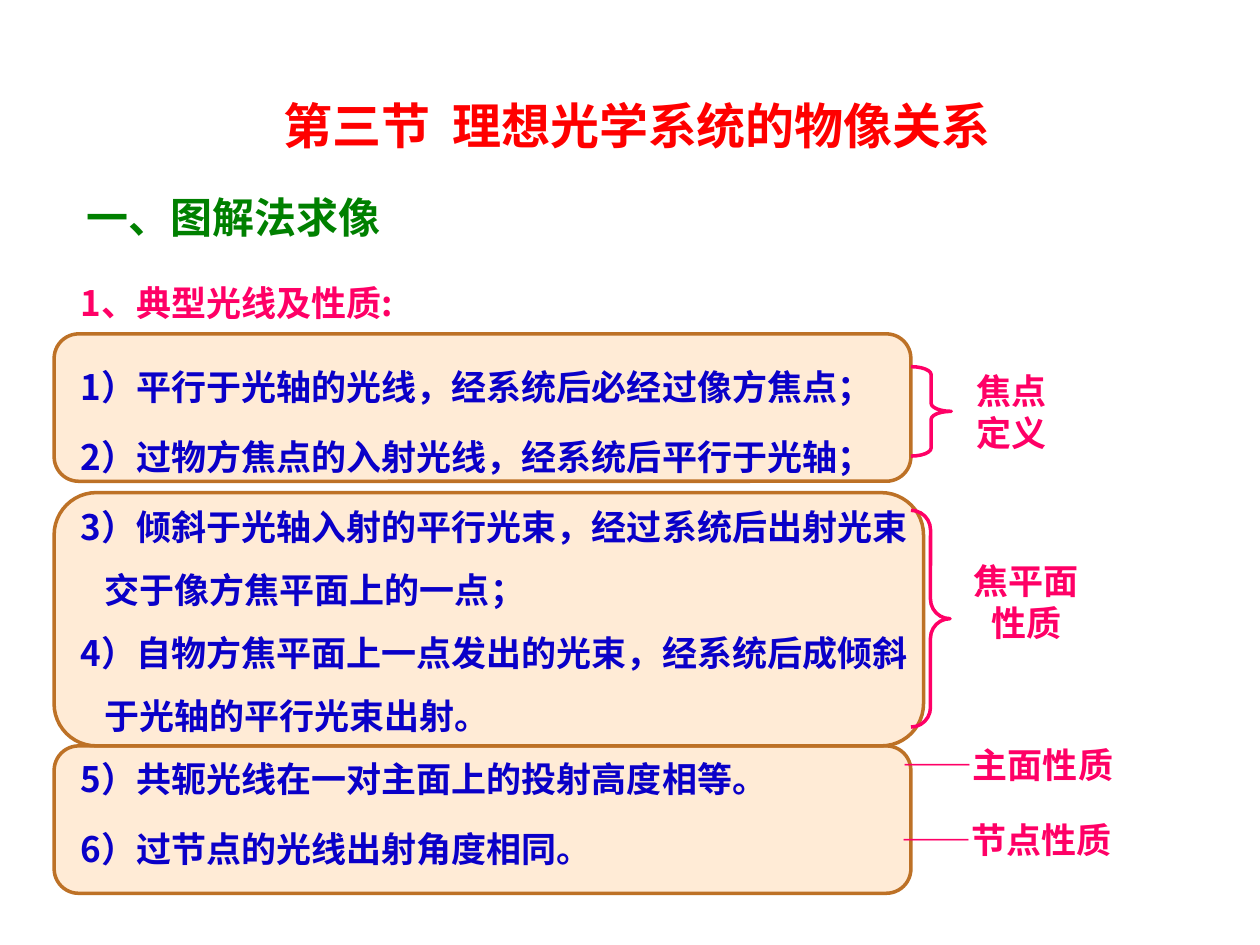
from dataclasses import dataclass

from lxml.etree import SubElement as Sub
from pptx import Presentation
from pptx.dml.color import RGBColor as Rgb
from pptx.enum.shapes import MSO_SHAPE as Kind
from pptx.enum.text import MSO_ANCHOR as Anchor, MSO_AUTO_SIZE as Auto, PP_ALIGN as Align
from pptx.oxml.ns import qn
from pptx.util import Inches, Pt

SANS = "Noto Sans CJK SC"
ROSE, BLUE = "FF0066", "0A00C8"


@dataclass
class Box:
    left: float
    top: float
    width: float
    height: float

    def place(self) -> tuple:
        return tuple(map(Inches, (self.left, self.top, self.width, self.height)))


@dataclass
class Line:
    text: str
    after: float = 0
    indent: float = 0


@dataclass
class Label:
    box: Box
    lines: list
    hue: str = ROSE
    size: float = 20
    align: Align = Align.LEFT
    anchor: Anchor = Anchor.TOP
    pitch: float = 1
    face: str = SANS
    wrap: bool = True
    grow: Auto = Auto.SHAPE_TO_FIT_TEXT


@dataclass
class Brace:
    box: Box
    curve: float
    label: Label


def color(code: str) -> Rgb:
    return Rgb.from_string(code)


def apply(target, style: dict) -> None:
    for name, value in style.items():
        setattr(target, name, value)


def write(shape, label: Label) -> None:
    frame = shape.text_frame
    apply(frame, dict(word_wrap=label.wrap, auto_size=label.grow,
                      vertical_anchor=label.anchor))
    for pos, line in enumerate(label.lines):
        para = frame.add_paragraph() if pos else frame.paragraphs[0]
        apply(para, dict(alignment=label.align, line_spacing=label.pitch,
                         space_before=Pt(0), space_after=Pt(line.after)))
        if line.indent:
            para._p.get_or_add_pPr().set("marL", str(Inches(line.indent)))
        run = para.add_run()
        run.text = line.text
        apply(run.font, dict(name=label.face, size=Pt(label.size), bold=True))
        run.font.color.rgb = color(label.hue)
        if label.face == SANS:
            Sub(run.font._element, qn("a:ea"), typeface=SANS)


def note(shapes, label: Label) -> None:
    write(shapes.add_textbox(*label.box.place()), label)


def draw(shapes, kind: Kind, box: Box, edge: str, fill: str = ""):
    shape = shapes.add_shape(kind, *box.place())
    shape.shadow.inherit = False
    if fill:
        shape.fill.solid()
        shape.fill.fore_color.rgb = color(fill)
    else:
        shape.fill.background()
    shape.line.color.rgb = color(edge)
    shape.line.width = Pt(2)
    return shape


def embrace(shapes, brace: Brace) -> None:
    group = shapes.add_group_shape().shapes
    shape = draw(group, Kind.RIGHT_BRACE, brace.box, ROSE)
    shape.adjustments[0] = brace.curve
    note(group, brace.label)


PANELS = [Box(0.43, 5.92, 6.8, 1.17), Box(0.43, 3.91, 6.9, 2.01), Box(0.43, 2.65, 6.8, 1.17)]

TITLE = Label(Box(0.81, 0.68, 8.49, 0.62), [Line("第三节  理想光学系统的物像关系")],
              "FF0000", 28, Align.CENTER, Anchor.MIDDLE,
              face="Times New Roman", grow=Auto.NONE)

RULES = [
    Line("1）平行于光轴的光线，经系统后必经过像方焦点；", 4),
    Line("2）过物方焦点的入射光线，经系统后平行于光轴；", 4),
    Line("3）倾斜于光轴入射的平行光束，经过系统后出射光束"),
    Line("交于像方焦平面上的一点；", indent=0.19),
    Line("4）自物方焦平面上一点发出的光束，经系统后成倾斜"),
    Line("于光轴的平行光束出射。", indent=0.19),
    Line("5）共轭光线在一对主面上的投射高度相等。", 4),
    Line("6）过节点的光线出射角度相同。", 4),
]

NOTES = [
    Label(Box(0.54, 2.65, 8.19, 4.34), RULES, BLUE, anchor=Anchor.MIDDLE, pitch=1.5),
    Label(Box(0.59, 1.47, 2.89, 0.51), [Line("一、图解法求像")], "008000", 24, wrap=False),
    Label(Box(0.54, 2.18, 3.56, 0.44), [Line("1、典型光线及性质:")], anchor=Anchor.MIDDLE),
    Label(Box(6.58, 5.85, 2.84, 0.44), [Line("——主面性质")], align=Align.CENTER),
    Label(Box(6.57, 6.45, 2.84, 0.44), [Line("——节点性质")], align=Align.CENTER),
]

BRACES = [
    Brace(Box(7.23, 4.05, 0.31, 1.72), 0.5,
          Label(Box(7.34, 4.39, 1.61, 0.78), [Line("焦平面"), Line("性质")],
                align=Align.CENTER)),
    Brace(Box(7.23, 2.91, 0.32, 0.71), 0.2,
          Label(Box(7.65, 2.88, 0.83, 0.77), [Line("焦点"), Line("定义")])),
]


def main() -> None:
    deck = Presentation()
    apply(deck, dict(slide_width=Inches(10), slide_height=Inches(7.5)))
    slide = deck.slides.add_slide(deck.slide_layouts[5])
    shapes = slide.shapes
    title = shapes.title
    apply(title, dict(zip(("left", "top", "width", "height"), TITLE.box.place())))
    write(title, TITLE)
    for box in PANELS:
        draw(shapes, Kind.ROUNDED_RECTANGLE, box, "BD7126", "FFEBD6")
    for label in NOTES:
        note(shapes, label)
    for brace in BRACES:
        embrace(shapes, brace)
    deck.save("out.pptx")


if __name__ == "__main__":
    main()
